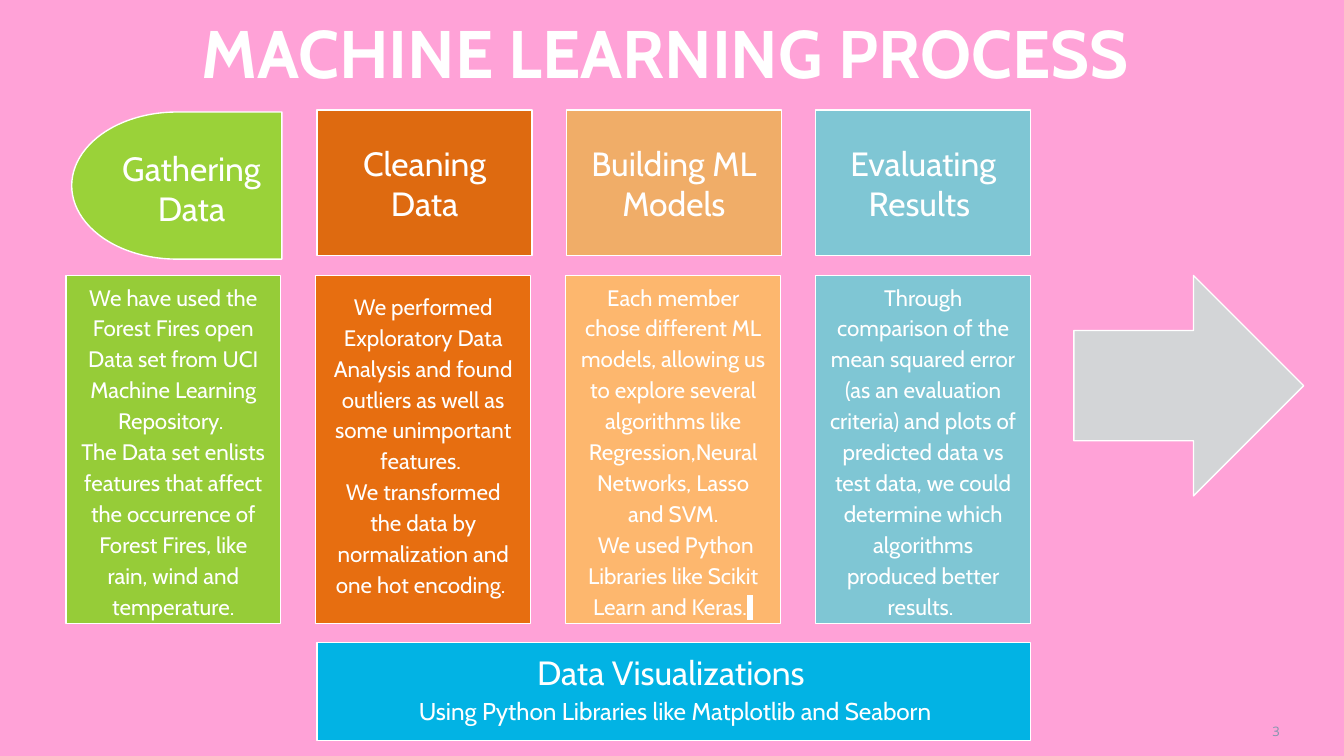
from lxml import etree
from pptx import Presentation
from pptx import util as u
from pptx.dml.color import RGBColor
from pptx.enum import shapes, text
from pptx.oxml.ns import qn

HUES = {
    "pink": "FFA2D7", "white": "FFFFFF", "slate": "7D97AD", "ink": "333333",
    "lime": "9AD239", "green": "96CC38", "rust": "DE6A10", "orange": "E76E10",
    "sand": "F0AD68", "peach": "FDB76E", "teal": "7FC6D4", "blue": "02B3E4",
    "gray": "D3D5D7",
}
KIND = shapes.MSO_SHAPE
MID = text.MSO_ANCHOR.MIDDLE
TOP = text.MSO_ANCHOR.TOP


class Deck:
    """Holds the style and the current slide."""

    def __init__(self, wide, high):
        self.prs = Presentation()
        self.prs.slide_width, self.prs.slide_height = u.Pt(wide), u.Pt(high)
        self.slide = self.prs.slides.add_slide(self.prs.slide_layouts[6])
        self.tint(self.slide.background.fill, "pink")

    def tint(self, fill, hue):
        fill.solid()
        fill.fore_color.rgb = RGBColor.from_string(HUES[hue])

    def block(self, kind, spot, hue, home=None):
        area = (home or self.slide).shapes
        shape = area.add_shape(kind, *map(u.Pt, spot))
        shape.shadow.inherit = False
        self.tint(shape.fill, hue)
        self.tint(shape.line.fill, "white")
        shape.line.width = u.Pt(0.75)
        return shape

    def label(self, spot, home=None):
        return (home or self.slide).shapes.add_textbox(*map(u.Pt, spot))

    def words(self, shape, lines, size, inset=7.2, anchor=MID, face="Cabin",
              hue="white", bold=False, space=None):
        frame = shape.text_frame
        frame.word_wrap = True
        frame.vertical_anchor = anchor
        frame.margin_left = frame.margin_right = u.Pt(inset)
        frame.margin_top = frame.margin_bottom = u.Pt(inset)
        frame.text = "\n".join(lines)
        for para in frame.paragraphs:
            para.alignment = text.PP_ALIGN.CENTER
            para.line_spacing = space
            font = para.font
            font.name, font.size, font.bold = face, u.Pt(size), bold
            self.tint(font.fill, hue)
        return frame.paragraphs

    def mark(self, para):
        run = para.add_run()
        run.text = " "
        run.font.name = "Arial"
        self.tint(run.font.fill, "ink")
        glow = etree.Element(qn("a:highlight"))
        etree.SubElement(glow, qn("a:srgbClr"), val=HUES["white"])
        run._r.rPr.find(qn("a:solidFill")).addnext(glow)


HEADS = [
    ("rust", ["Cleaning", "Data"]),
    ("sand", ["Building ML Models"]),
    ("teal", ["Evaluating Results "]),
]
NOTES = [
    ("green", MID, [
        "We have used the Forest Fires open Data set from UCI Machine Learning Repository. ",
        "The Data set enlists features that affect the occurrence of Forest Fires, "
        "like rain, wind and temperature."]),
    ("orange", TOP, [
        "We performed Exploratory Data Analysis and found outliers as well as some "
        "unimportant features. ",
        "We transformed the data by normalization and one hot encoding. "]),
    ("peach", MID, [
        "Each member chose different ML models, allowing us to explore several "
        "algorithms like Regression,Neural Networks, Lasso and SVM.",
        " We used Python Libraries like Scikit Learn and Keras."]),
    ("teal", MID, [
        "Through comparison of the mean squared error (as an evaluation criteria) and "
        "plots of predicted data vs test data, we could determine which algorithms "
        "produced better results. "]),
]


def main():
    deck = Deck(720, 405)
    title = deck.label((62.6, 5.8, 595.4, 49.7))
    deck.words(title, ["MACHINE LEARNING PROCESS "], 36, 0, TOP, bold=True)

    start = deck.slide.shapes.add_group_shape()
    delay = deck.block(KIND.FLOWCHART_DELAY, (38.4, 60, 112.6, 78.8), "lime", start)
    delay.rotation = 180
    name = deck.label((54.7, 74.2, 95.8, 53.3), start)
    deck.words(name, ["Gathering Data"], 18)

    for i, (hue, lines) in enumerate(HEADS):
        head = deck.block(KIND.RECTANGLE, (169.9 + 133.55 * i, 59, 115.2, 77.8), hue)
        deck.words(head, lines, 18)

    for i, (hue, anchor, lines) in enumerate(NOTES):
        note = deck.block(KIND.RECTANGLE, (35.3 + 133.9 * i, 147.6, 115.2, 186.5), hue)
        paras = deck.words(note, lines, 12, anchor=anchor, space=1.15)
        if hue == "peach":
            deck.mark(paras[-1])

    deck.block(KIND.RECTANGLE, (169.9, 344.2, 382.3, 52.6), "blue")
    base = deck.label((173.5, 342, 375.8, 15.8))
    lines = ["Data Visualizations ", "Using Python Libraries like Matplotlib and Seaborn"]
    tail = deck.words(base, lines, 18, anchor=TOP)[-1]
    tail.font.size = u.Pt(13)
    tail.space_before = u.Pt(2)

    deck.block(KIND.RIGHT_ARROW, (575.3, 147.6, 123.1, 118.1), "gray")
    page = deck.label((679.7, 387.4, 7.9, 8.6))
    deck.words(page, ["3"], 7, 0, TOP, "Open Sans", "slate")
    deck.prs.save("out.pptx")


if __name__ == "__main__":
    main()
